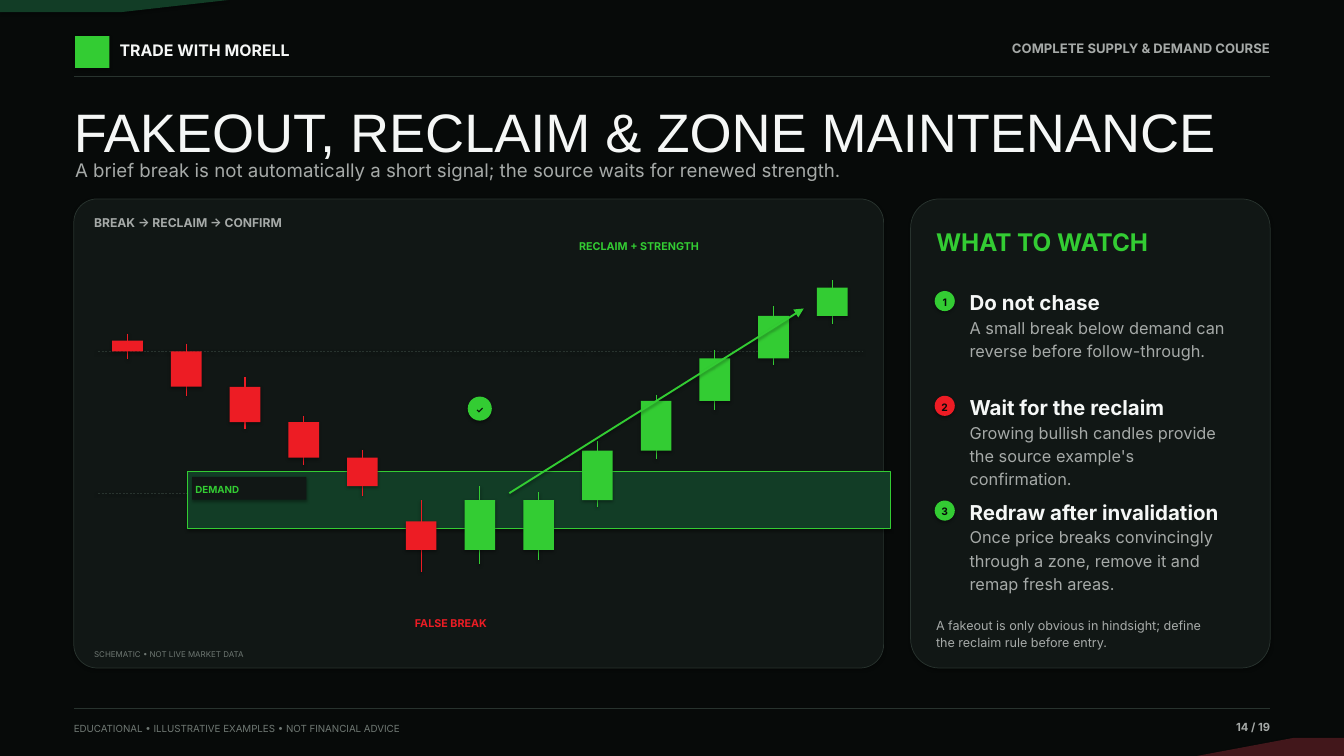
from pptx import Presentation
from pptx import util as u
from pptx.dml.color import RGBColor
from pptx.enum import dml, shapes, text
from pptx.oxml.ns import qn
from lxml import etree

Cm, Pt = u.Cm, u.Pt
Kind, Side = shapes.MSO_SHAPE, text.PP_ALIGN
hues = {"night": "070A09", "panel": "111715", "edge": "28332E", "white": "F5F7F6",
        "gray": "A6AAA8", "dim": "6F7873", "green": "33CC33", "red": "ED1C24",
        "moss": "123D26", "wine": "42171B"}
hues = {name: RGBColor.from_string(code) for name, code in hues.items()}

deck = Presentation()
deck.slide_width, deck.slide_height = Cm(50.8), Cm(50.8 * 9 / 16)
slide = deck.slides.add_slide(deck.slide_layouts[5])
slide.background.fill.solid()
slide.background.fill.fore_color.rgb = hues["night"]


def put(words, x, y, w, h, size=12, hue="gray", bold=False, side=Side.LEFT, font="Inter",
        space=1.18, kind=None, fill=None, edge=None, wide=0.8, inset=0, item=None):
    spot = [Cm(v) for v in (x, y, w, h)]
    if item is not None:
        item.left, item.top, item.width, item.height = spot
    elif kind is not None:
        item = slide.shapes.add_shape(kind, *spot)
        item.fill.solid()
        item.fill.fore_color.rgb = hues[fill]
        if edge:
            item.line.color.rgb = hues[edge]
            item.line.width = Pt(wide)
        else:
            item.line.fill.background()
    else:
        item = slide.shapes.add_textbox(*spot)
    if words:
        frame = item.text_frame
        frame.text = words
        frame.word_wrap = True
        frame.auto_size = text.MSO_AUTO_SIZE.NONE
        frame.margin_left = Cm(inset)
        frame.margin_right = frame.margin_top = frame.margin_bottom = 0
        frame.vertical_anchor = (text.MSO_ANCHOR.TOP if kind is None
                                 else text.MSO_ANCHOR.MIDDLE)
        for para in frame.paragraphs:
            para.alignment, para.line_spacing = side, space
            para.font.name, para.font.size, para.font.bold = font, Pt(size), bold
            para.font.color.rgb = hues[hue]
    return item


def rule(x1, y1, x2, y2, hue="edge", wide=0.8):
    line = slide.shapes.add_connector(shapes.MSO_CONNECTOR.STRAIGHT,
                                      Cm(x1), Cm(y1), Cm(x2), Cm(y2))
    line.line.color.rgb = hues[hue]
    line.line.width = Pt(wide)
    return line


corners = [("moss", [(0, 0), (8.64, 0), (4.57, 0.46), (0, 0.46)]),
           ("wine", [(50.8, 28.58), (45.21, 28.58), (48.9, 27.89), (50.8, 27.89)])]
for hue, spots in corners:
    spots = [(Cm(x), Cm(y)) for x, y in spots]
    pen = slide.shapes.build_freeform(*spots[0])
    pen.add_line_segments(spots[1:], close=True)
    wedge = pen.convert_to_shape()
    wedge.fill.solid()
    wedge.fill.fore_color.rgb = hues[hue]
    wedge.line.fill.background()

left, right = 2.79, 48.01
put("", 2.84, 1.37, 1.3, 1.2, kind=Kind.RECTANGLE, fill="green")
put("TRADE WITH MORELL", 4.52, 1.42, 9.9, 0.86, size=17, hue="white", bold=True)
put("COMPLETE SUPPLY & DEMAND COURSE", 35.56, 1.42, 12.45, 0.81, size=14, bold=True,
    side=Side.RIGHT)
for y in (2.87, 26.77):
    rule(left, y, right, y)
put("EDUCATIONAL • ILLUSTRATIVE EXAMPLES • NOT FINANCIAL ADVICE", left, 27.23, 20.32, 0.64,
    size=10.5, hue="dim")
put("14 / 19", 43.69, 27.13, 4.32, 0.71, bold=True, side=Side.RIGHT)
put("FAKEOUT, RECLAIM & ZONE MAINTENANCE", left, 3.71, 45.21, 2.24, size=58, hue="white",
    font="Arial", space=1.0, item=slide.shapes.title)
put("A brief break is not automatically a short signal; the source waits for renewed strength.",
    2.84, 5.84, 43.69, 1.09, size=20)

for x, w, bend in ((left, 30.61, 0.05), (34.42, 13.59, 0.08)):
    card = put("", x, 7.52, w, 17.73, kind=Kind.ROUNDED_RECTANGLE, fill="panel", edge="edge")
    card.adjustments[0] = bend

put("BREAK → RECLAIM → CONFIRM", 3.56, 8.03, 29.08, 0.71, size=13, bold=True)
put("SCHEMATIC • NOT LIVE MARKET DATA", 3.56, 24.49, 29.08, 0.46, size=8.5, hue="dim")
base, unit = 18.64, 5.36 / 20
for level in (0, 20):
    y = base - level * unit
    rule(3.71, y, 32.59, y, wide=0.55).line.dash_style = dml.MSO_LINE.DASH
put("", 7.09, base - 3 * unit, 26.57, 8 * unit, kind=Kind.RECTANGLE, fill="moss",
    edge="green", wide=0.9)

# open, close, high, low
candles = [(21.5, 20, 22.5, 18.9), (20, 15, 21.1, 13.7), (15, 10, 16.4, 9.1),
           (10, 5, 10.9, 3.9), (5, 1, 6.1, -0.4), (-4, -8, -1, -11.1),
           (-8, -1, 1, -10), (-8, -1, 0.1, -9.4), (-1, 6, 7.3, -1.9),
           (6, 13, 13.9, 4.8), (13, 19, 20.2, 11.7), (19, 25, 26.4, 18.1),
           (25, 29, 30, 23.9)]
for i, (start, end, high, low) in enumerate(candles):
    mid = 4.82 + 2.22 * i
    hue = "green" if end > start else "red"
    rule(mid, base - high * unit, mid, base - low * unit, hue, 1.15)
    put("", mid - 0.58, base - max(start, end) * unit, 1.16, abs(end - start) * unit,
        kind=Kind.RECTANGLE, fill=hue)

put("DEMAND", 7.26, 18.03, 4.32, 0.86, size=10.5, hue="green", bold=True,
    kind=Kind.RECTANGLE, fill="panel", inset=0.13)
put("FALSE BREAK", 14.38, 23.22, 5.33, 0.76, size=11.5, hue="red", bold=True,
    side=Side.CENTER)
put("✓", 17.68, 14.99, 0.91, 0.91, size=9.5, hue="night", bold=True, side=Side.CENTER,
    kind=Kind.OVAL, fill="green")
arrow = rule(19.25, base, 30.38, 11.66, "green", 2)
etree.SubElement(arrow.line._get_or_add_ln(), qn("a:tailEnd"), type="triangle", w="lg", len="lg")
put("RECLAIM + STRENGTH", 20.22, 8.99, 7.87, 0.76, size=11.5, hue="green", bold=True,
    side=Side.CENTER)

put("WHAT TO WATCH", 35.38, 8.38, 11.68, 1.73, size=26, hue="green", bold=True)
steps = [("green", "Do not chase",
          "A small break below demand can\nreverse before follow-through."),
         ("red", "Wait for the reclaim",
          "Growing bullish candles provide\nthe source example's\nconfirmation."),
         ("green", "Redraw after invalidation",
          "Once price breaks convincingly\nthrough a zone, remove it and\nremap fresh areas.")]
for i, (hue, head, body) in enumerate(steps):
    y = 10.8 + 3.96 * i
    put(str(i + 1), 35.33, y + 0.2, 0.76, 0.76, size=11, hue="night", bold=True,
        side=Side.CENTER, kind=Kind.OVAL, fill=hue)
    put(head, 36.65, y, 10.24, 0.91, size=22, hue="white", bold=True)
    put(body, 36.65, y + 1.09, 10.24, 2.74, size=17.5)
put("A fakeout is only obvious in hindsight; define\nthe reclaim rule before entry.",
    35.38, 23.24, 11.48, 1.22, size=13.5)

deck.save("out.pptx")
